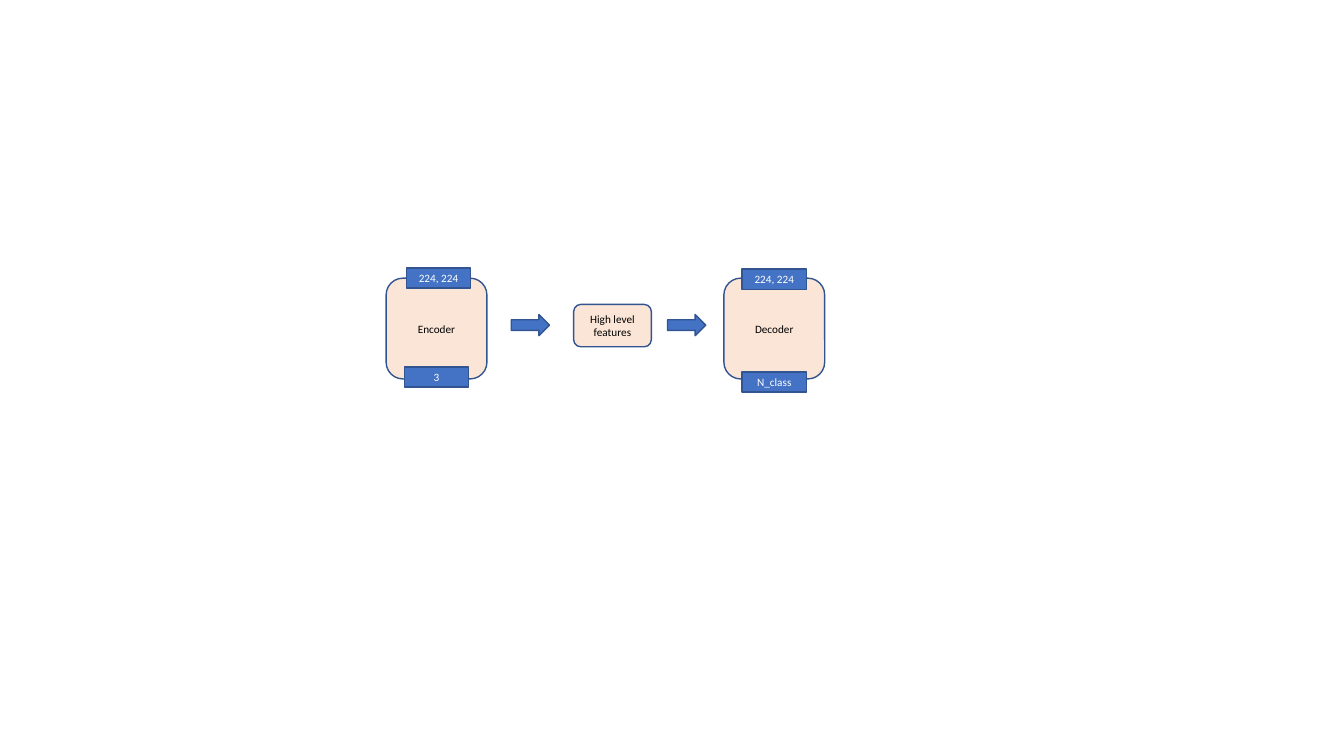
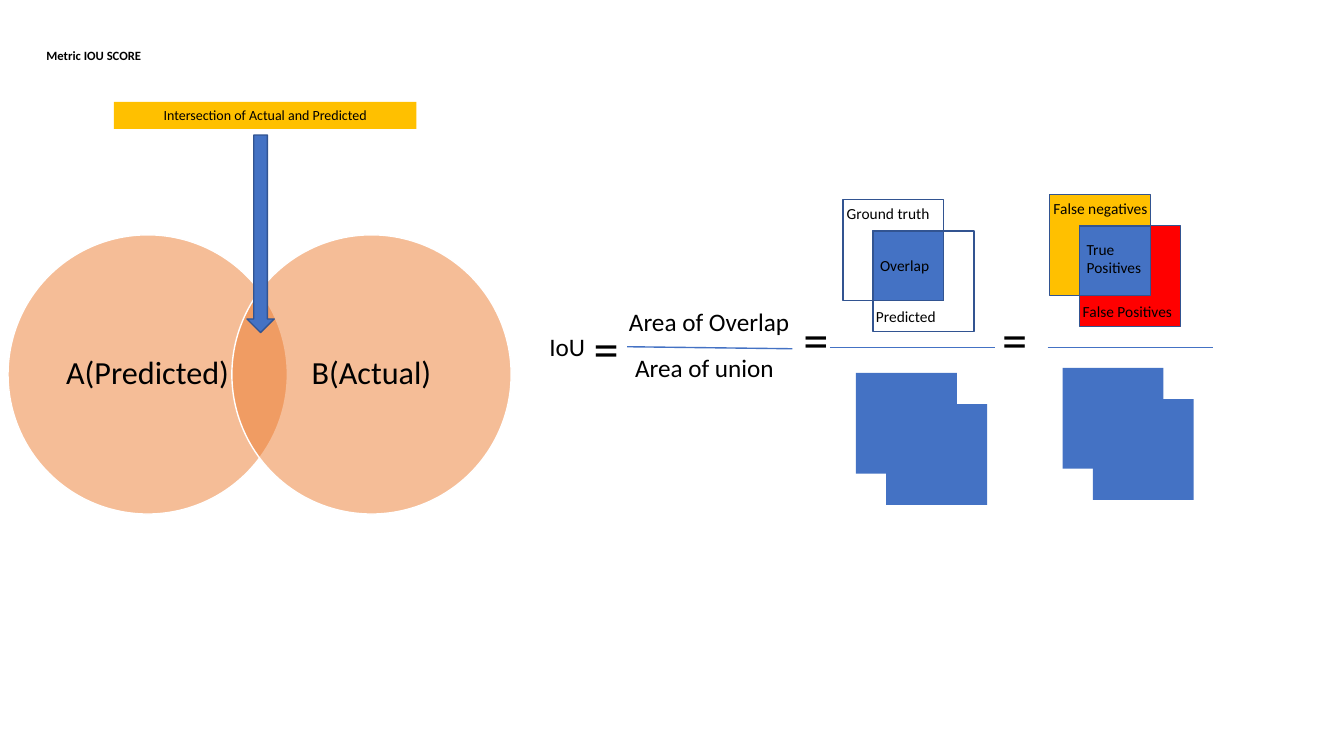
"""Build two slides: an encoder-decoder diagram and the IoU metric."""
from lxml import etree
from pptx import Presentation
from pptx.dml.color import RGBColor
from pptx.enum.shapes import MSO_CONNECTOR, MSO_SHAPE as Preset
from pptx.enum.text import MSO_ANCHOR as Anchor, PP_ALIGN as Align
from pptx.oxml.ns import qn
from pptx.util import Inches, Pt

BLACK = RGBColor(0x00, 0x00, 0x00)
WHITE = RGBColor(0xFF, 0xFF, 0xFF)
BLUE = RGBColor(0x44, 0x72, 0xC4)
NAVY = RGBColor(0x32, 0x54, 0x91)
PEACH = RGBColor(0xFB, 0xE5, 0xD6)
ORANGE = RGBColor(0xED, 0x7D, 0x31)
GOLD = RGBColor(0xFF, 0xC0, 0x00)
RED = RGBColor(0xFF, 0x00, 0x00)
FONT = "Calibri"
SQUARE = 1
SHIFT_X, SHIFT_Y = 0.3, 0.31


def write(shape, text, size, color=BLACK, align=Align.CENTER, anchor=Anchor.MIDDLE,
          bold=False, spacing=None):
    frame = shape.text_frame
    frame.word_wrap = True
    frame.vertical_anchor = anchor
    frame.text = text
    paragraph = frame.paragraphs[0]
    paragraph.alignment = align
    paragraph.line_spacing = spacing
    font = paragraph.runs[0].font
    font.name, font.size, font.bold = FONT, Pt(size), bold
    font.color.rgb = color


def add_box(slide, preset, left, top, width, height, fill=None, line=NAVY):
    shape = slide.shapes.add_shape(preset, *map(Inches, (left, top, width, height)))
    shape.shadow.inherit = False
    if fill is None:
        shape.fill.background()
    else:
        shape.fill.solid()
        shape.fill.fore_color.rgb = fill
    if line is None:
        shape.line.fill.background()
    else:
        shape.line.color.rgb = line
        shape.line.width = Pt(1)
    return shape


def add_label(slide, text, left, top, width, height, size, align=Align.LEFT,
              anchor=Anchor.TOP, **style):
    label = slide.shapes.add_textbox(*map(Inches, (left, top, width, height)))
    write(label, text, size, align=align, anchor=anchor, **style)
    return label


def add_rule(slide, *ends):
    rule = slide.shapes.add_connector(MSO_CONNECTOR.STRAIGHT, *map(Inches, ends))
    rule.line.color.rgb = BLUE
    rule.line.width = Pt(1)
    properties = rule.element.find(qn("p:spPr"))
    etree.SubElement(properties, qn("a:effectLst"))


def add_stage(slide, text, left, top, width, height):
    stage = add_box(slide, Preset.ROUNDED_RECTANGLE, left, top, width, height, PEACH)
    write(stage, text, 8)


def add_tag(slide, text, left, top):
    tag = add_box(slide, Preset.RECTANGLE, left, top, 0.64, 0.2, BLUE)
    write(tag, text, 8, WHITE)


def add_circle(slide, text, left):
    top, diameter, margin = 2.33, 2.77, 0.41
    circle = add_box(slide, Preset.OVAL, left, top, diameter, diameter, ORANGE, WHITE)
    color = circle.element.find(qn("p:spPr")).find(qn("a:solidFill"))[0]
    etree.SubElement(color, qn("a:alpha"), val="50000")
    side = diameter - 2 * margin
    label = add_label(slide, text, left + margin, top + margin, side, side, 23,
                      Align.CENTER, Anchor.MIDDLE, spacing=0.9)
    frame = label.text_frame
    frame.margin_left = frame.margin_right = Inches(0.15)
    frame.margin_top = frame.margin_bottom = Inches(0.03)


def add_square_pair(slide, left, top, fills, line):
    for step, fill in enumerate(fills):
        add_box(slide, Preset.RECTANGLE, left + step * SHIFT_X, top + step * SHIFT_Y,
                SQUARE, SQUARE, fill, line)


def add_overlap_fraction(slide, left, top, fills, labels, middle_drop):
    add_square_pair(slide, left, top, fills, NAVY)
    add_box(slide, Preset.RECTANGLE, left + SHIFT_X, top + SHIFT_Y,
            SQUARE - SHIFT_X, SQUARE - SHIFT_Y, BLUE)
    add_square_pair(slide, left + 0.13, top + 1.72, (BLUE, BLUE), None)
    upper, middle, lower = labels
    add_label(slide, upper, left - 0.06, top, 1.24, 0.29, 11)
    add_label(slide, lower, left + 0.23, top + 1.02, 1.24, 0.29, 11)
    add_label(slide, middle, left + 0.27, top + middle_drop, 0.77, 0.29, 11)


def build_network_slide(slide):
    add_stage(slide, "Encoder", 3.83, 2.76, 1, 1)
    add_stage(slide, "High level features", 5.69, 3.02, 0.77, 0.42)
    add_stage(slide, "Decoder", 7.18, 2.76, 1, 1)
    for left in (5.07, 6.62):
        add_box(slide, Preset.RIGHT_ARROW, left, 3.12, 0.38, 0.21, BLUE)
    for text, left, top in (("224, 224", 4.03, 2.66), ("3", 4.01, 3.64),
                            ("224, 224", 7.36, 2.67), ("N_class", 7.36, 3.69)):
        add_tag(slide, text, left, top)


def build_metric_slide(slide):
    add_label(slide, "Metric IOU SCORE", 0.26, 0.37, 1.34, 0.38, 9,
              Align.CENTER, Anchor.MIDDLE, bold=True, spacing=0.9)
    add_circle(slide, "A(Predicted)", 0.08)
    add_circle(slide, "B(Actual)", 2.3)
    add_box(slide, Preset.DOWN_ARROW, 2.45, 1.34, 0.27, 1.96, BLUE)
    banner = add_box(slide, Preset.RECTANGLE, 1.13, 1.01, 3, 0.27, GOLD, None)
    write(banner, "Intersection of Actual and Predicted", 10)

    add_label(slide, "IoU", 5.35, 3.24, 0.6, 0.4, 18)
    add_label(slide, "Area of Overlap", 6.14, 2.99, 2.37, 0.4, 18)
    add_label(slide, "Area of union", 6.2, 3.45, 1.99, 0.4, 18)
    add_overlap_fraction(slide, 8.36, 1.98, (None, None),
                         ("Ground truth", "Overlap", "Predicted"), 0.51)
    add_overlap_fraction(slide, 10.41, 1.93, (GOLD, RED),
                         ("False negatives", "True Positives", "False Positives"), 0.4)
    for left, top in ((5.79, 3.1), (7.87, 3.01), (9.84, 3.01)):
        add_label(slide, "=", left, top, 0.47, 0.71, 36)
    for left, start, end in ((6.22, 3.44, 3.46), (8.23, 3.45, 3.45), (10.39, 3.45, 3.45)):
        add_rule(slide, left, start, left + 1.64, end)


def main():
    presentation = Presentation()
    presentation.slide_width = Inches(13.33)
    presentation.slide_height = Inches(7.5)
    blank = presentation.slide_layouts[6]
    for build in (build_network_slide, build_metric_slide):
        build(presentation.slides.add_slide(blank))
    presentation.save("out.pptx")


if __name__ == "__main__":
    main()
